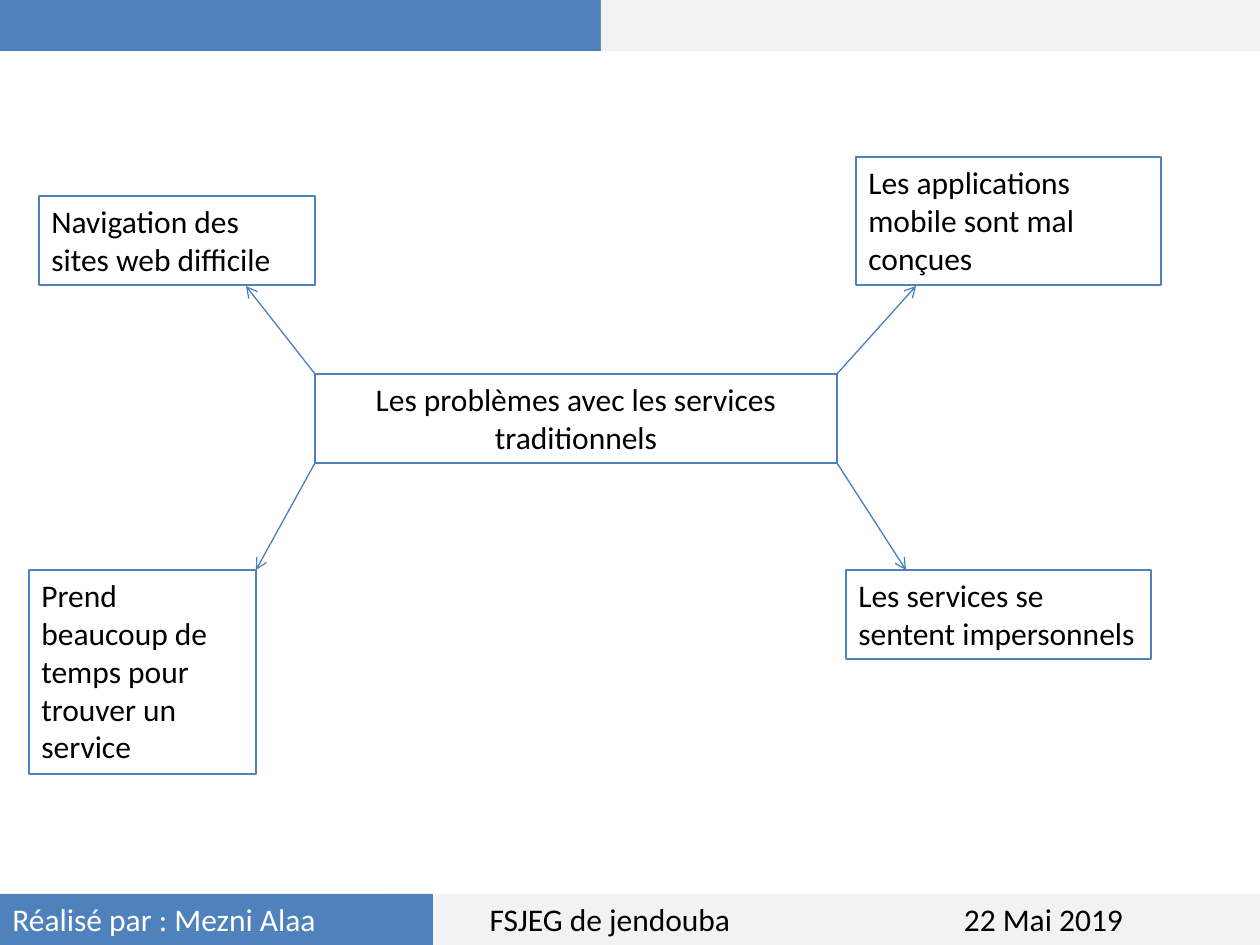
from lxml.etree import SubElement
from pptx import Presentation
from pptx.dml.color import RGBColor
from pptx.enum.shapes import MSO_CONNECTOR as CONNECTOR, MSO_SHAPE as SHAPE
from pptx.enum.text import MSO_ANCHOR as ANCHOR, PP_ALIGN as ALIGN
from pptx.oxml.ns import qn
from pptx.util import Pt

PX = 914400 / 126
BLUE = RGBColor(0x4F, 0x81, 0xBD)
ARROW_BLUE = RGBColor(0x4B, 0x7E, 0xBC)
GREY = RGBColor(0xF2, 0xF2, 0xF2)
BLACK = RGBColor(0, 0, 0)
WHITE = RGBColor(0xFF, 0xFF, 0xFF)


def px(*lengths):
    return [round(length * PX) for length in lengths]


def add_box(bounds, text="", fill=None, color=BLACK, align=ALIGN.LEFT):
    """Filled band without outline, or outlined box when no fill is given."""
    box = page.shapes.add_shape(SHAPE.RECTANGLE, *px(*bounds))
    box.shadow.inherit = False
    if fill is None:
        box.fill.background()
        box.line.color.rgb = BLUE
        box.line.width = Pt(0.75)
    else:
        box.fill.solid()
        box.fill.fore_color.rgb = fill
        box.line.fill.background()
    if text:
        frame = box.text_frame
        frame.word_wrap = True
        frame.vertical_anchor = ANCHOR.TOP
        para = frame.paragraphs[0]
        para.alignment = align
        span = para.add_run()
        span.text = text
        span.font.name = "Calibri"
        span.font.size = Pt(18)
        span.font.color.rgb = color


deck = Presentation()
deck.slide_width, deck.slide_height = px(1260, 945)
page = deck.slides.add_slide(deck.slide_layouts[6])

# Header bands
add_box((0, 0, 601, 51), fill=BLUE)
add_box((601, 0, 659, 51), fill=GREY)

# Footer bands, the author band overlapping the next one
for left, width, text, fill, color, align in [
    (384, 452, "FSJEG de jendouba", GREY, BLACK, ALIGN.CENTER),
    (827, 433, "22 Mai 2019", GREY, BLACK, ALIGN.CENTER),
    (0, 433, "Réalisé par : Mezni Alaa", BLUE, WHITE, ALIGN.LEFT),
]:
    add_box((left, 894, width, 51), text, fill, color, align)

# Central topic
left, top, width, height = 315, 374, 522, 89
right, bottom = left + width, top + height
add_box((left, top, width, height),
        "Les problèmes avec les services traditionnels", align=ALIGN.CENTER)

# Problems around the topic, each with an arrow from the nearest corner
for bounds, text, corner, target in [
    ((39, 196, 276, 89), "Navigation des sites web difficile",
     (left, top), (246, 286)),
    ((856, 157, 305, 128), "Les applications mobile sont mal conçues",
     (right, top), (916, 286)),
    ((29, 570, 227, 204), "Prend beaucoup de temps pour trouver un service",
     (left, bottom), (256, 570)),
    ((846, 570, 305, 89), "Les services se sentent impersonnels",
     (right, bottom), (906, 570)),
]:
    add_box(bounds, text)
    arrow = page.shapes.add_connector(CONNECTOR.STRAIGHT, *px(*corner, *target))
    arrow.line.color.rgb = ARROW_BLUE
    arrow.line.width = Pt(0.75)
    SubElement(arrow.line._get_or_add_ln(), qn("a:tailEnd"), type="arrow")
    SubElement(arrow._element.spPr, qn("a:effectLst"))

deck.save("out.pptx")
